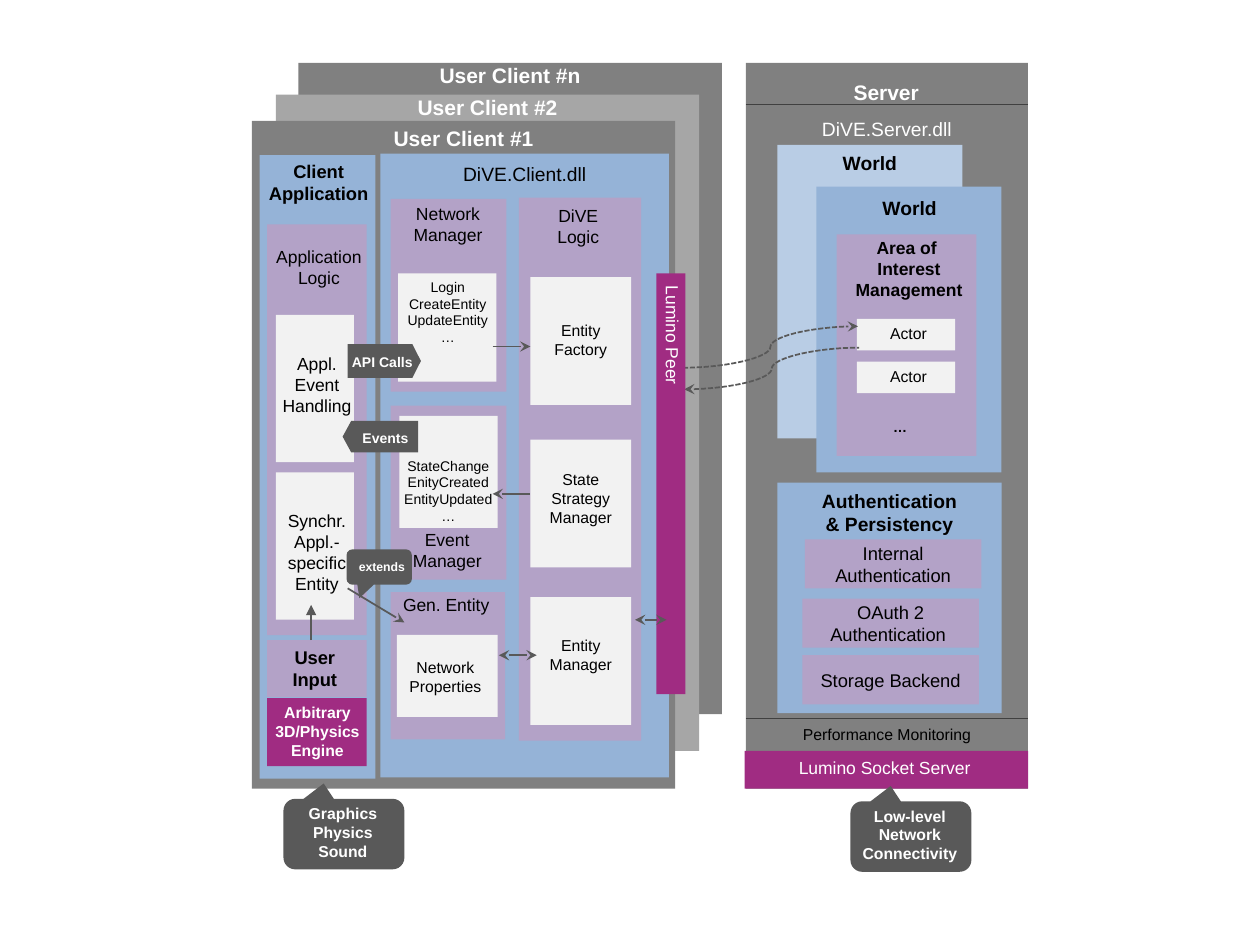
import pptx
import pptx.util
import pptx.dml.color
import pptx.enum.dml
import pptx.enum.shapes
import pptx.enum.text
import pptx.oxml
import pptx.oxml.ns

Pt = pptx.util.Pt
SHAPES = pptx.enum.shapes.MSO_SHAPE
CONNECTORS = pptx.enum.shapes.MSO_CONNECTOR
ALIGN = pptx.enum.text.PP_ALIGN
ANCHOR = pptx.enum.text.MSO_ANCHOR

COLORS = {
    "frame": "808080", "frame_light": "A6A6A6", "blue": "95B3D7", "blue_light": "B9CDE5",
    "violet": "B3A2C7", "magenta": "A02C82", "paper": "F2F2F2", "dark": "595959",
    "rule": "404040", "black": "000000", "white": "FFFFFF",
}


def color(name):
    return pptx.dml.color.RGBColor.from_string(COLORS[name])


def within(box, left, top, width, height):
    return box[0] + left, box[1] + top, width, height


def panel(slide, box, fill, kind=SHAPES.RECTANGLE, adjustments=()):
    shape = slide.shapes.add_shape(kind, *map(Pt, box))
    shape.shadow.inherit = False
    shape.fill.solid()
    shape.fill.fore_color.rgb = color(fill)
    shape.line.fill.background()
    for index, value in enumerate(adjustments):
        shape.adjustments[index] = value
    return shape


def write(shape, lines, size, ink="black", bold=False, align=ALIGN.CENTER, **frame_format):
    frame = shape.text_frame
    for name, value in {"word_wrap": True, **frame_format}.items():
        setattr(frame, name, value)
    for index, line in enumerate(lines.split("\n")):
        paragraph = frame.add_paragraph() if index else frame.paragraphs[0]
        paragraph.alignment = align
        run = paragraph.add_run()
        run.text = line
        for name, value in {"name": "Arial", "size": Pt(size), "bold": bold}.items():
            setattr(run.font, name, value)
        run.font.color.rgb = color(ink)


def label(slide, box, lines, size, **text_format):
    shape = slide.shapes.add_textbox(*map(Pt, box))
    write(shape, lines, size, **text_format)
    return shape


def connect(slide, start, end, head=None, tail=None, ink="dark", width=1, curved=False):
    kind = CONNECTORS.CURVE if curved else CONNECTORS.STRAIGHT
    connector = slide.shapes.add_connector(kind, *map(Pt, start + end))
    connector.line.color.rgb = color(ink)
    connector.line.width = Pt(width)
    if curved:
        connector.line.dash_style = pptx.enum.dml.MSO_LINE.SQUARE_DOT
    properties = connector._element.spPr
    outline = properties.find(pptx.oxml.ns.qn("a:ln"))
    for tag, arrow in (("a:headEnd", head), ("a:tailEnd", tail)):
        if arrow:
            outline.append(pptx.oxml.parse_xml(
                f'<{tag} {pptx.oxml.ns.nsdecls("a")} type="{arrow}"/>'))
    properties.append(pptx.oxml.parse_xml(f'<a:effectLst {pptx.oxml.ns.nsdecls("a")}/>'))


def client_frame(slide, box, title, fill, title_top):
    panel(slide, box, fill)
    label(slide, within(box, 0, title_top, box[2], 21.6), title, 12, ink="white", bold=True)


def client_application(slide, box):
    panel(slide, box, "blue")
    label(slide, within(box, -2.9, -0.7, 73.4, 32.4), "Client\nApplication", 10.5, bold=True)
    for top, height, fill in ((277.2, 32.4, "violet"), (39.6, 234.7, "violet"),
                              (310.3, 38.9, "magenta")):
        panel(slide, within(box, 4.3, top, 56.9, height), fill)
    label(slide, within(box, 4.3, 277.2, 54.7, 32.4), "User Input", 10.5, bold=True)
    label(slide, within(box, -1.4, 48.2, 70.6, 31.7), "Application\nLogic", 10)
    label(slide, within(box, 0, 309.6, 66.2, 40.3), "Arbitrary\n3D/Physics\nEngine", 9,
          ink="white", bold=True)
    parts = ("Appl.\nEvent\nHandling", "Synchr.\nAppl.-\nspecific\nEntity")
    for index, lines in enumerate(parts):
        top = 91.4 + 90 * index
        panel(slide, within(box, 9.4, top, 44.6, 84.2), "paper")
        label(slide, within(box, -1.4, top + 18, 68.4, 50), lines, 10)
    connect(slide, within(box, 29.5, 277.2, 0, 0)[:2], within(box, 29.5, 257, 0, 0)[:2],
            tail="triangle")


def client_library(slide, box):
    panel(slide, box, "blue")
    label(slide, within(box, -1.4, 1.4, 167.8, 20.9), "DiVE.Client.dll", 11)
    managers = (
        ((5.8, 25.9, 66.2, 110.2), (5.8, 24.5, 65.5, 31.7), "Network Manager", ALIGN.CENTER,
         (10.1, 68.4, 56.2, 61.9), (4.3, 67.7, 68.4, 46.1),
         "Login\nCreateEntity\nUpdateEntity\n…", 8),
        ((5.8, 144, 66.2, 99.4), (4.3, 211, 67.7, 31.7), "Event Manager", ALIGN.CENTER,
         (10.8, 149.8, 56.2, 64.1), (1.4, 169.9, 74.9, 46.1),
         "StateChange\nEnityCreated\nEntityUpdated\n…", 8),
        ((5.8, 250.6, 65.5, 84.2), (5.8, 248.4, 70, 19.4), "Gen. Entity", ALIGN.LEFT,
         (9.4, 275, 57.6, 46.8), (7.9, 284.4, 58.3, 28.8), "Network\nProperties", 9),
    )
    for area, title_box, title, align, card, text_box, lines, size in managers:
        panel(slide, within(box, *area), "violet")
        label(slide, within(box, *title_box), title, 10, align=align)
        panel(slide, within(box, *card), "paper")
        label(slide, within(box, *text_box), lines, size)
    panel(slide, within(box, 79.2, 25.2, 69.8, 310.3), "violet")
    label(slide, within(box, 79.2, 25.9, 67.7, 31.7), "DiVE\nLogic", 10)
    for top, offset, lines in ((70.6, 21.6, "Entity\nFactory"),
                               (163.4, 13.7, "State\nStrategy\nManager"),
                               (253.4, 18.8, "Entity\nManager")):
        panel(slide, within(box, 85.7, top, 57.6, 73), "paper")
        label(slide, within(box, 85.3, top + offset, 58.3, 29), lines, 9)
    for left, top, head, tail in ((64.1, 110.2, None, "stealth"), (64.1, 194.4, "stealth", None),
                                  (67.7, 286.6, "stealth", "stealth")):
        start = within(box, left, top, 0, 0)[:2]
        connect(slide, start, (start[0] + 21.6, start[1]), head, tail)


def peer(slide, box):
    panel(slide, box, "magenta")
    shape = label(slide, within(box, -3.6, 0, 26, box[3]), "Lumino Peer", 10, ink="white",
                  align=ALIGN.LEFT, vertical_anchor=ANCHOR.MIDDLE,
                  margin_top=Pt(7.2), margin_bottom=Pt(7.2))
    shape.text_frame._txBody.bodyPr.set("vert", "vert")


def worlds(slide, box):
    panel(slide, within(box, 0, 0, 105.8, 167.8), "blue_light")
    panel(slide, within(box, 22.3, 23.8, 105.8, 163.4), "blue")
    for left, top in ((0, 0), (22.7, 25.9)):
        label(slide, within(box, left, top, 105.8, 20.9), "World", 11, bold=True)
    panel(slide, within(box, 33.8, 51.1, 79.9, 126.7), "violet")
    label(slide, within(box, 33.8, 49, 82.8, 43.9), "Area of \nInterest\nManagement", 10, bold=True)
    for top in (99.4, 123.9):
        panel(slide, within(box, 45.4, top, 56.2, 18), "paper")
        label(slide, within(box, 45.4, top - 0.7, 59, 18), "Actor", 9)
    label(slide, within(box, 36, 152.6, 68.4, 18.7), "…", 8, bold=True)


def authentication(slide, box):
    panel(slide, box, "blue")
    label(slide, within(box, 0, 0, box[2], 33.8), "Authentication\n& Persistency", 11, bold=True)
    for left, top, text in ((15.8, 32.4, "Internal Authentication"),
                            (14.4, 66.2, "OAuth 2 Authentication "),
                            (14.4, 98.6, "Storage Backend")):
        module = panel(slide, within(box, left, top, 100.8, 28.1), "violet")
        write(module, text, 10.5, vertical_anchor=ANCHOR.MIDDLE)


def server(slide, box):
    left, top, width, height = box
    panel(slide, box, "frame")
    label(slide, within(box, -0.4, 5.8, width, 21.6), "Server", 12, ink="white", bold=True)
    label(slide, within(box, 0, 27.4, width, 20.9), "DiVE.Server.dll", 11, ink="white")
    worlds(slide, within(box, 18, 46.8, 128, 187))
    authentication(slide, within(box, 18, 239.8, 128.2, 131.8))
    for rule in (23.8, 374.4):
        connect(slide, (left, top + rule), (left + width, top + rule), ink="rule", width=0.75)
    label(slide, within(box, 0, 374.4, width, 18), "Performance Monitoring", 9)
    panel(slide, within(box, -0.7, 393.1, 162, 21.6), "magenta")
    label(slide, within(box, 0, 393.1, width, 19.4), "Lumino Socket Server ", 10, ink="white")


def tag(slide, box, text_box, lines, size, kind, adjustments, rotation=0):
    shape = panel(slide, box, "dark", kind, adjustments)
    shape.rotation = rotation
    label(slide, within(box, *text_box), lines, size, ink="white", bold=True)


def tags(slide):
    callout, arrow = SHAPES.ROUNDED_RECTANGULAR_CALLOUT, SHAPES.PENTAGON
    for left, top, lines in ((486, 457.9, "Low-level\nNetwork\nConnectivity"),
                             (162, 456.5, "Graphics\nPhysics\nSound")):
        tag(slide, (left, top, 69.1, 40.3), (-1.4, -0.7, 70.6, 41), lines, 9,
            callout, (-0.167, -0.718, 0.167))
    tag(slide, (198.7, 196.6, 41.8, 19.4), (-10.1, 2.1, 59.8, 17.3), "API Calls", 8,
        arrow, (0.253,))
    tag(slide, (195.8, 240.5, 43.2, 18), (-0.7, 1.4, 50.4, 22.3), "Events", 8,
        arrow, (0.271,), 180)
    connect(slide, (198.7, 336.2), (231.1, 355.7), tail="stealth")
    tag(slide, (198, 313.9, 37.4, 20.2), (-7.9, 2.2, 56.2, 20.2), "extends", 7,
        callout, (-0.303, 0.882, 0.167))


presentation = pptx.Presentation()
presentation.slide_width, presentation.slide_height = Pt(720), Pt(540)
slide = presentation.slides.add_slide(presentation.slide_layouts[6])

server(slide, (426.2, 36, 161.3, 414.7))
client_frame(slide, (170.6, 36, 241.9, 372.2), "User Client #n", "frame", -3.6)
client_frame(slide, (157.7, 54, 241.9, 375.1), "User Client #2", "frame_light", -3.6)
client_frame(slide, (144, 69.1, 241.9, 381.6), "User Client #1", "frame", -0.7)
client_application(slide, (148.3, 88.6, 66.2, 356.4))
client_library(slide, (217.4, 87.8, 164.9, 356.4))
connect(slide, (390.2, 210.2), (490.3, 186.5), tail="stealth", curved=True)
connect(slide, (391, 222.5), (491, 198.7), head="stealth", curved=True)
peer(slide, (375.1, 156.2, 16.6, 240.5))
connect(slide, (362.9, 354.2), (380.9, 354.2), "stealth", "stealth")
tags(slide)

presentation.save("out.pptx")
